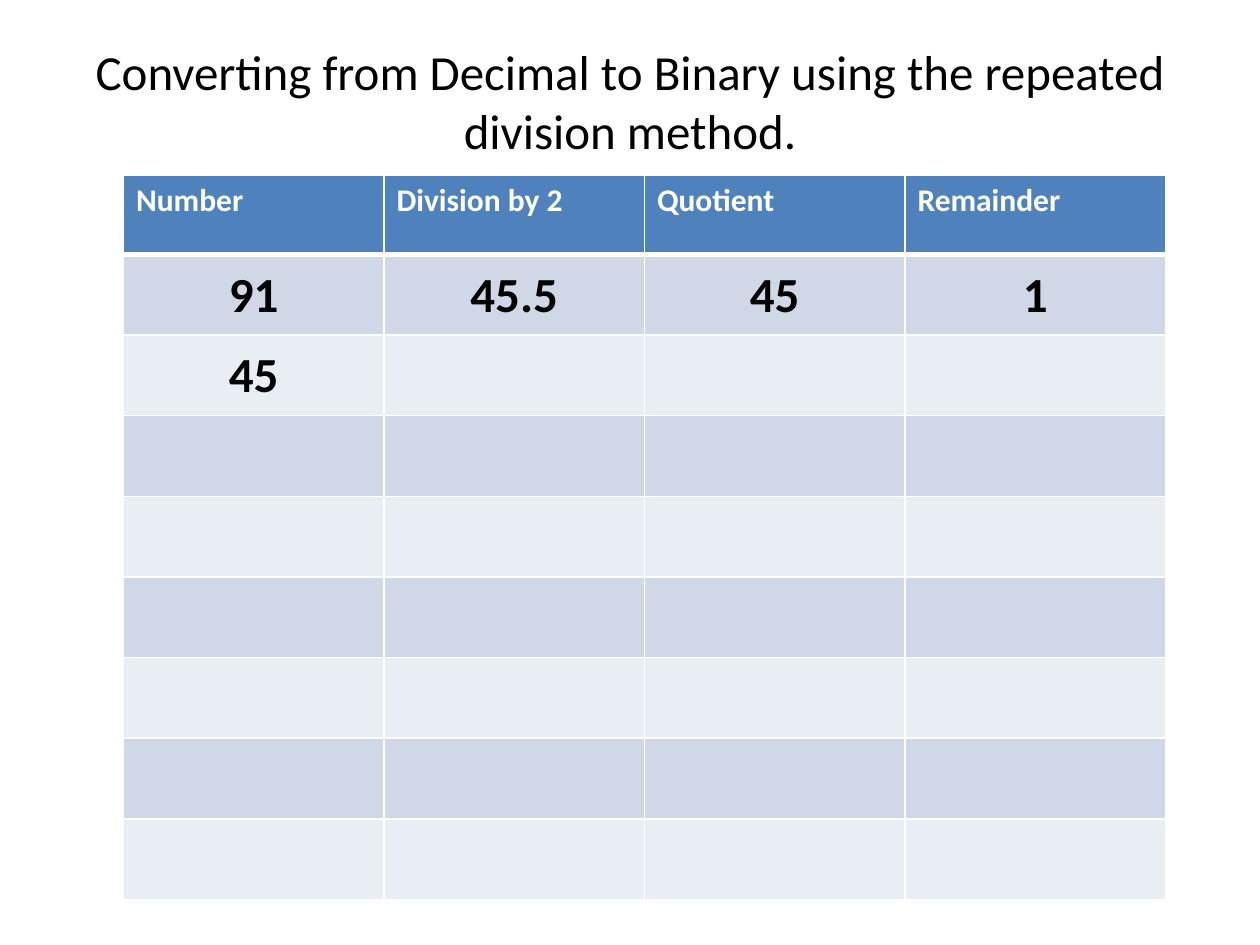
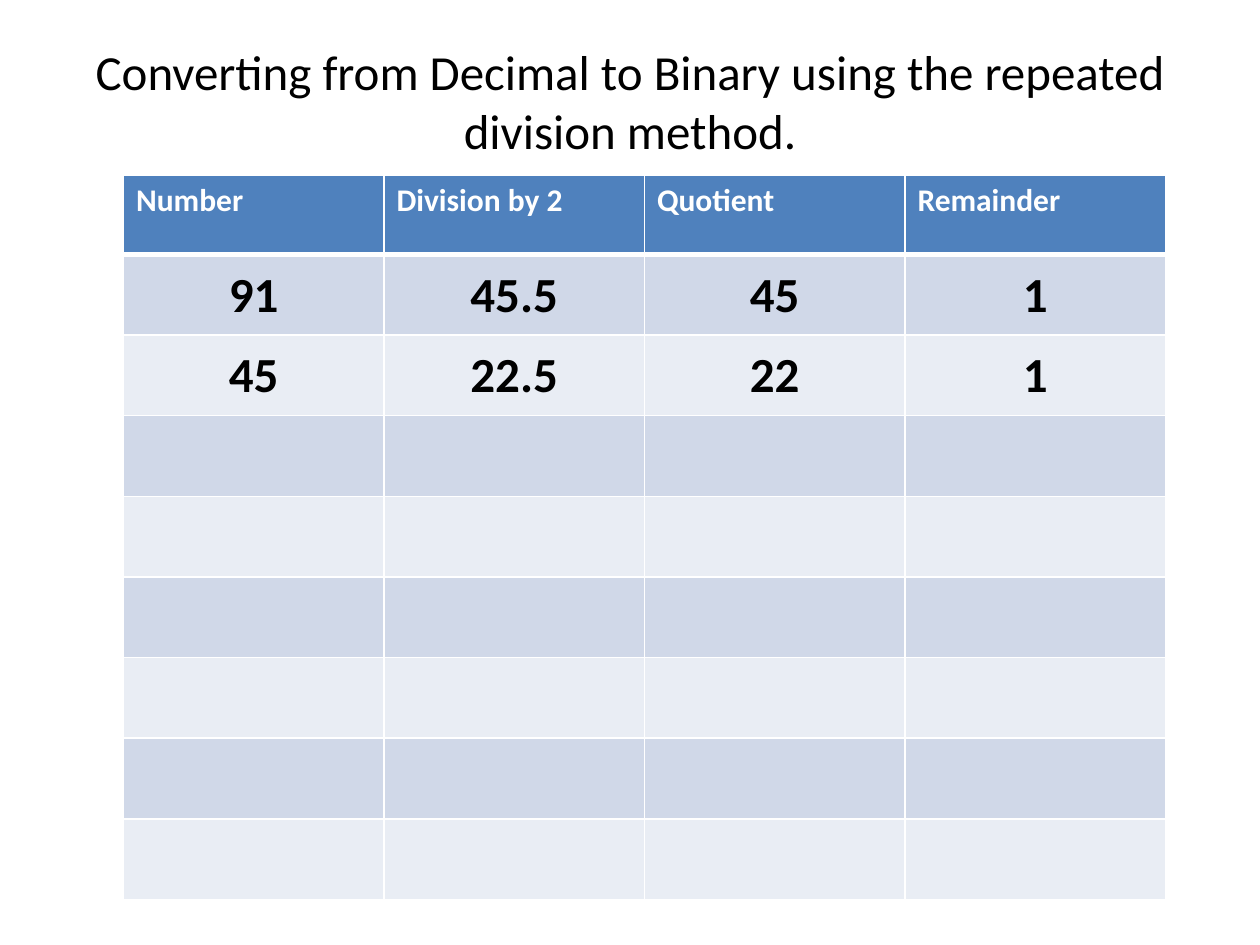
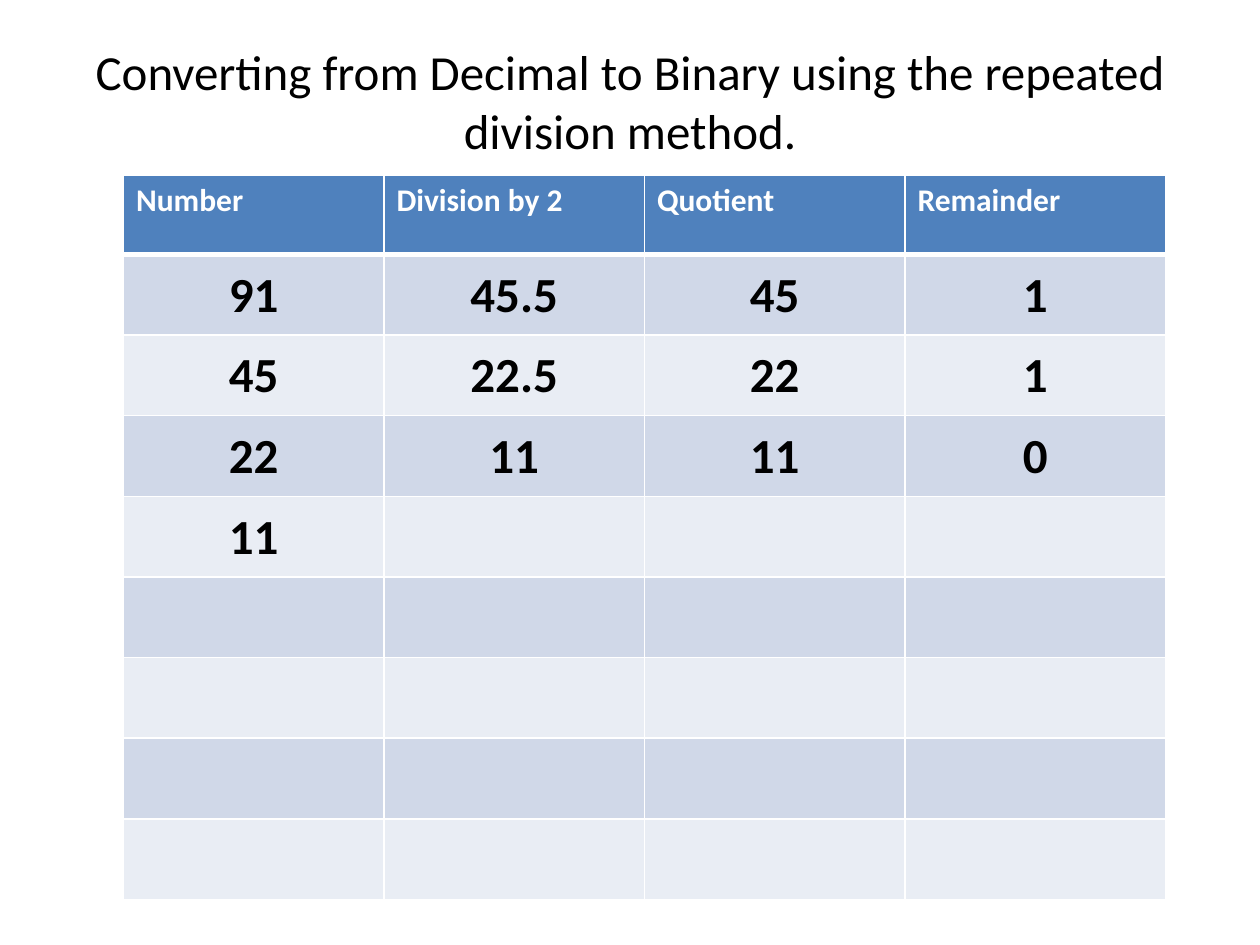
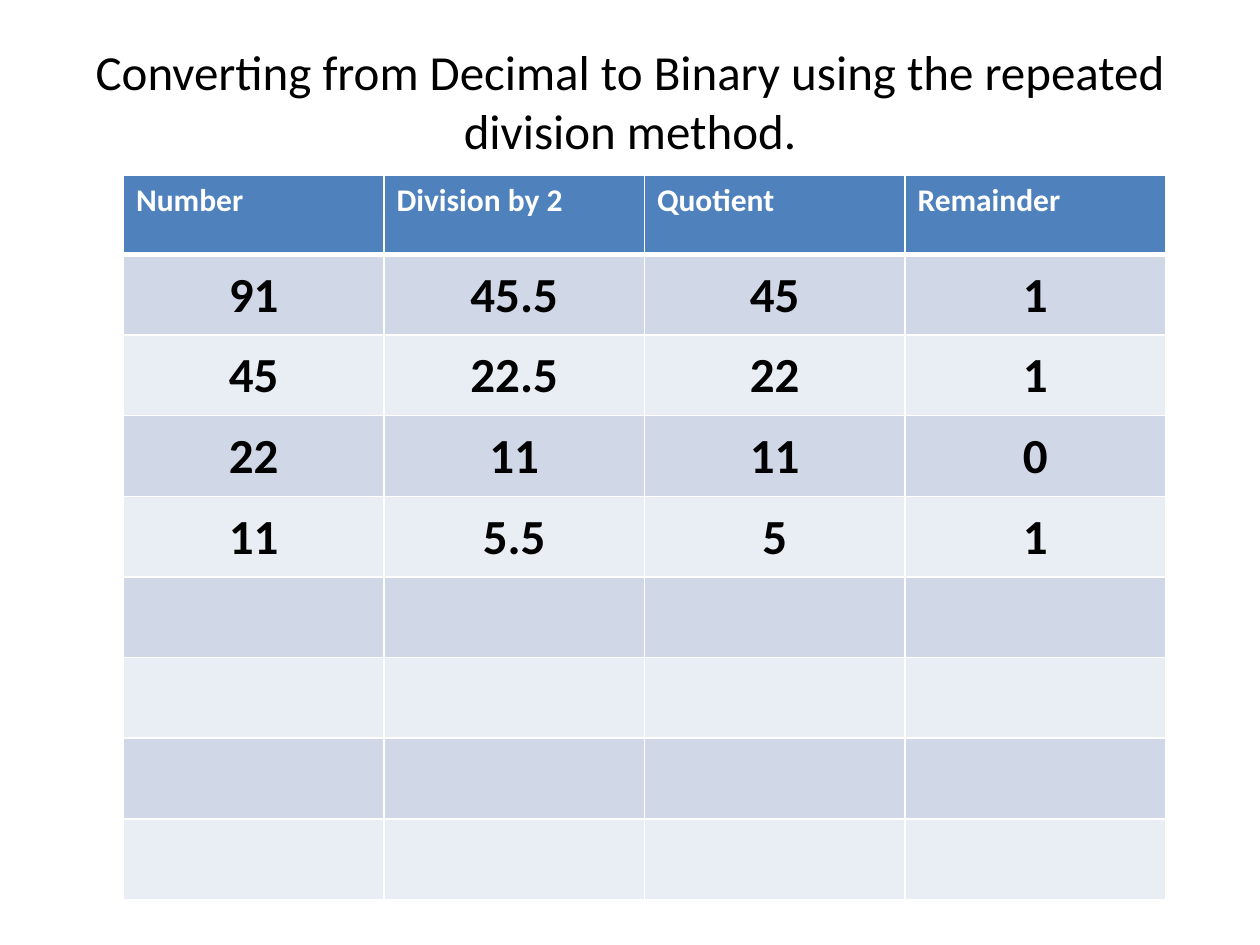
from lxml.etree import SubElement
from pptx import Presentation
from pptx.dml.color import RGBColor
from pptx.enum.text import MSO_ANCHOR, MSO_AUTO_SIZE, PP_ALIGN
from pptx.oxml.ns import qn
from pptx.util import Inches, Pt

FONT = "Calibri"
BLACK = RGBColor(0x00, 0x00, 0x00)
WHITE = RGBColor(0xFF, 0xFF, 0xFF)
HEADER_BLUE = RGBColor(0x4F, 0x81, 0xBD)
BANDS = (RGBColor(0xD0, 0xD8, 0xE8), RGBColor(0xE9, 0xED, 0xF4))

TITLE = "Converting from Decimal to Binary using the repeated division method."
HEADERS = ("Number", "Division by 2", "Quotient", "Remainder")
TITLE_BOX = (0.5, 0.3, 9, 0.46)
TABLE_BOX = (0.98, 1.39, 8.27, 5.75)
HEADER_HEIGHT = 0.63
STEP_ROWS = 8
START_NUMBER = 91
CELLS_SHOWN = (5, 8, 13, 16)


def add_text(p, text, size, color, bold=False):
    """Add one formatted run to a paragraph."""
    r = p.add_run()
    r.text = text
    r.font.name, r.font.size, r.font.bold = FONT, Pt(size), bold
    r.font.color.rgb = color


def add_title(s, box):
    """Place and format the title placeholder, its text starting at the top."""
    sp = s.shapes.title
    sp.left, sp.top, sp.width, sp.height = map(Inches, box)
    tf = sp.text_frame
    tf.word_wrap, tf.auto_size = True, MSO_AUTO_SIZE.NONE
    tf.vertical_anchor, tf.margin_top = MSO_ANCHOR.TOP, Inches(0.03)
    p = tf.paragraphs[0]
    p.alignment = PP_ALIGN.CENTER
    add_text(p, TITLE, 28, BLACK)


def style_cell(cell, fill, top=1, bottom=1):
    """Give a cell its fill and white borders of the given point widths."""
    tc_pr = cell._tc.get_or_add_tcPr()
    for side, width in (("L", 1), ("R", 1), ("T", top), ("B", bottom)):
        ln = SubElement(tc_pr, qn(f"a:ln{side}"), w=str(Pt(width)))
        SubElement(SubElement(ln, qn("a:solidFill")), qn("a:srgbClr"), val=str(WHITE))
    cell.fill.solid()
    cell.fill.fore_color.rgb = fill


def fill_step(cell, text):
    """Write one centred value of a division step."""
    cell.vertical_anchor = MSO_ANCHOR.MIDDLE
    cell.margin_left = cell.margin_top = cell.margin_right = Inches(0.01)
    cell.margin_bottom = 0
    p = cell.text_frame.paragraphs[0]
    p.alignment = PP_ALIGN.CENTER
    add_text(p, text, 28, BLACK, bold=True)


def division_values(number):
    """List number, half, quotient and remainder for each division down to zero."""
    values = []
    while number:
        values += [number, number / 2, number // 2, number % 2]
        number //= 2
    return [f"{value:g}" for value in values]


def add_division_table(s, box, shown):
    """Draw the division table with its first cells filled in."""
    cols = len(HEADERS)
    x, y, width, height = map(Inches, box)
    table = s.shapes.add_table(STEP_ROWS + 1, cols, x, y, width, height).table
    table.horz_banding = False
    for column in table.columns:
        column.width = width // cols
    for row in table.rows:
        row.height = (height - Inches(HEADER_HEIGHT)) // STEP_ROWS
    table.rows[0].height = Inches(HEADER_HEIGHT)

    for col, header in enumerate(HEADERS):
        cell = table.cell(0, col)
        style_cell(cell, HEADER_BLUE, bottom=3)
        add_text(cell.text_frame.paragraphs[0], header, 18, WHITE, bold=True)
        for step in range(STEP_ROWS):
            style_cell(table.cell(step + 1, col), BANDS[step % 2], top=1 if step else 3)

    for i, value in enumerate(division_values(START_NUMBER)[:shown]):
        fill_step(table.cell(i // cols + 1, i % cols), value)


def main():
    """Build one slide for each stage of the conversion."""
    prs = Presentation()
    prs.slide_width, prs.slide_height = Inches(10), Inches(7.5)
    for shown in CELLS_SHOWN:
        s = prs.slides.add_slide(prs.slide_layouts[5])
        add_title(s, TITLE_BOX)
        add_division_table(s, TABLE_BOX, shown)
    prs.save("out.pptx")


if __name__ == "__main__":
    main()
